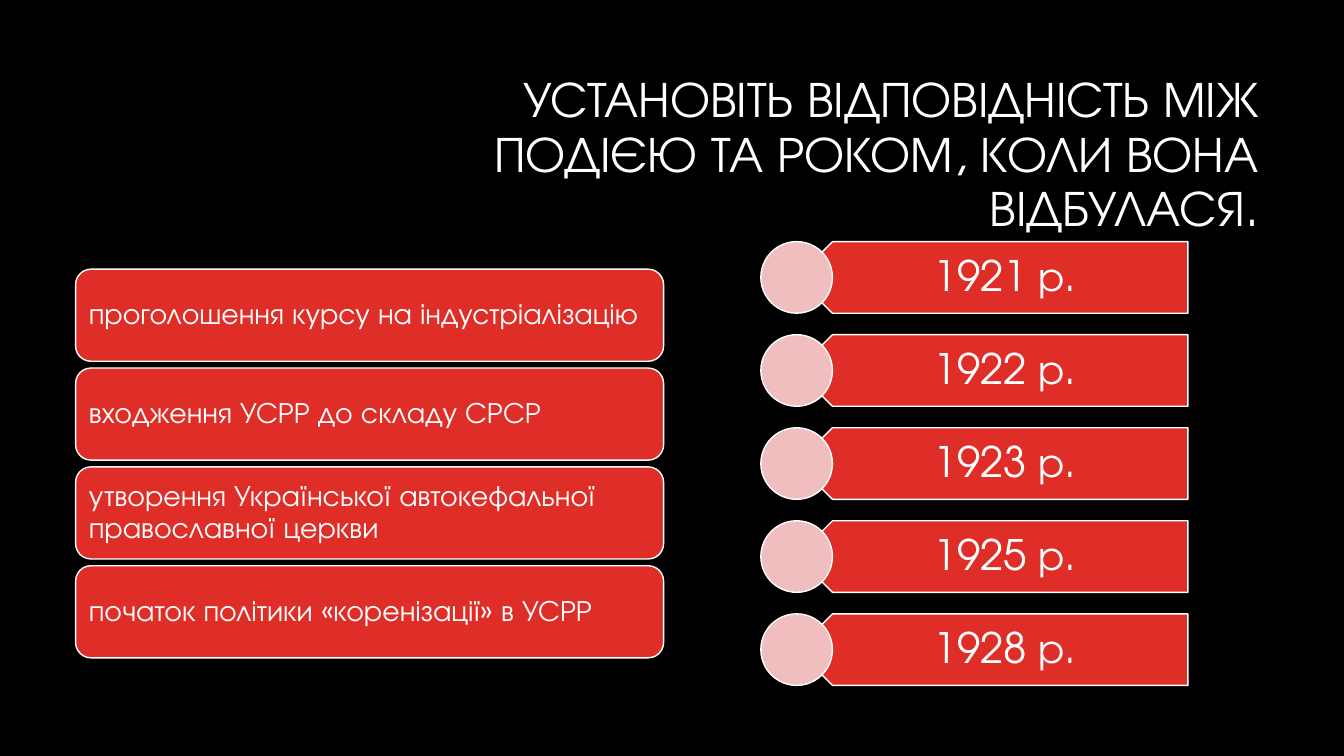
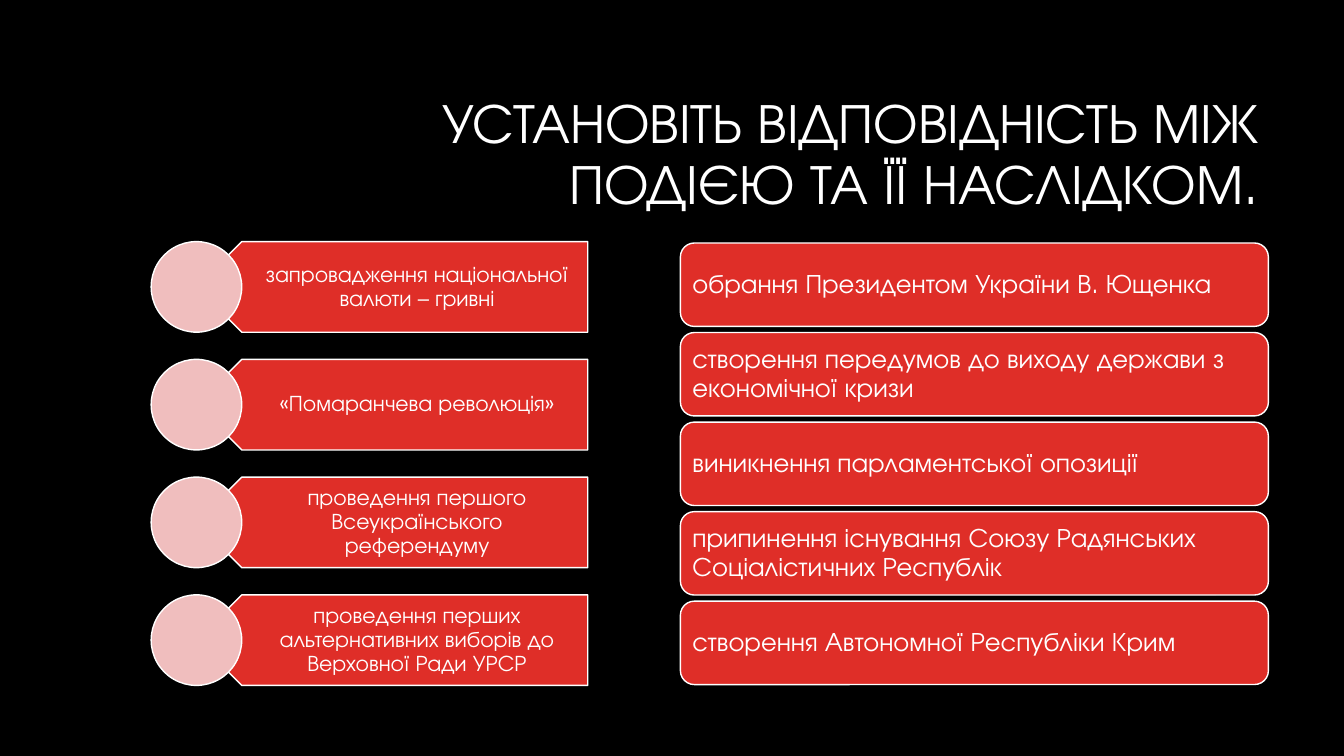
from pptx import Presentation
from pptx.dml.color import RGBColor
from pptx.enum.shapes import MSO_SHAPE
from pptx.enum.text import MSO_ANCHOR, PP_ALIGN
from pptx.util import Pt

CARD, PLATE, DISC = MSO_SHAPE.ROUNDED_RECTANGLE, MSO_SHAPE.PENTAGON, MSO_SHAPE.OVAL
LEFT, CENTER, RIGHT = PP_ALIGN.LEFT, PP_ALIGN.CENTER, PP_ALIGN.RIGHT
MIDDLE = MSO_ANCHOR.MIDDLE

FONT = "TeX Gyre Adventor"
BLACK, WHITE, RED, PINK = "000000", "FFFFFF", "DF2E28", "F0BEBE"
SLIDE_SIZE = (960, 540)
TITLE_BOX = (228.2, 60.5, 678.2, 101.5)
TITLE_INSETS = (7.2, 3.6, 7.2, 3.6)

EVENTS_BY_YEAR = [
    "проголошення курсу на індустріалізацію",
    "входження УСРР до складу СРСР",
    "утворення Української автокефальної православної церкви",
    "початок політики «коренізації» в УСРР",
]
YEARS = ["1921 р.", "1922 р.", "1923 р.", "1925 р.", "1928 р."]
EVENTS = [
    "запровадження національної валюти – гривні",
    "«Помаранчева революція»",
    "проведення першого Всеукраїнського референдуму",
    "проведення перших альтернативних виборів до Верховної Ради УРСР",
]
CONSEQUENCES = [
    "обрання Президентом України В. Ющенка",
    "створення передумов до виходу держави з економічної кризи",
    "виникнення парламентської опозиції",
    "припинення існування Союзу Радянських Соціалістичних Республік",
    "створення Автономної Республіки Крим",
]


def paint(color_format, hex_color):
    color_format.rgb = RGBColor.from_string(hex_color)


def apply(target, formats):
    for attribute, value in formats.items():
        setattr(target, attribute, value)


def write(holder, text, size, align, insets):
    left, top, right, bottom = map(Pt, insets)
    frame = holder.text_frame
    apply(frame, {
        "word_wrap": True, "vertical_anchor": MIDDLE,
        "margin_left": left, "margin_top": top,
        "margin_right": right, "margin_bottom": bottom,
    })
    paragraph = frame.paragraphs[0]
    apply(paragraph, {"text": text, "alignment": align, "line_spacing": 0.9})
    apply(paragraph.font, {"name": FONT, "size": Pt(size)})
    paint(paragraph.font.color, WHITE)


def add_text(slide, box, text, size, align, insets):
    write(slide.shapes.add_textbox(*map(Pt, box)), text, size, align, insets)


def add_figure(slide, kind, box, fill):
    figure = slide.shapes.add_shape(kind, *map(Pt, box))
    figure.shadow.inherit = False
    figure.fill.solid()
    paint(figure.fill.fore_color, fill)
    figure.line.width = Pt(1)
    paint(figure.line.color, WHITE)
    return figure


def add_cards(slide, box, texts, size):
    left, top, width, height = box
    gap = 0.23 * size
    card_height = (height - gap * (len(texts) - 1)) / len(texts)
    for index, text in enumerate(texts):
        card_top = top + index * (card_height + gap)
        card = add_figure(slide, CARD, (left, card_top, width, card_height), RED)
        write(card, text, size, LEFT, [0.3 * size] * 4)


def add_tags(slide, box, texts, size):
    left, top, width, height = box
    disc = height / (1.3 * len(texts) - 0.3)
    insets = (0.44 * disc, 0.3 * size, 0.56 * size, 0.3 * size)
    for index, text in enumerate(texts):
        tag_top = top + index * 1.3 * disc
        plate = add_figure(
            slide, PLATE, (left + disc / 2, tag_top, width - disc / 2, disc), RED)
        plate.rotation = 180
        label_box = (left + 0.75 * disc, tag_top, width - 0.75 * disc, disc)
        add_text(slide, label_box, text, size, CENTER, insets)
        add_figure(slide, DISC, (left, tag_top, disc, disc), PINK)


def add_matching_slide(deck, title, title_size, regions):
    slide = deck.slides.add_slide(deck.slide_layouts[6])
    slide.background.fill.solid()
    paint(slide.background.fill.fore_color, BLACK)
    add_text(slide, TITLE_BOX, title, title_size, RIGHT, TITLE_INSETS)
    for add_region, box, texts, size in regions:
        add_region(slide, box, texts, size)


def main():
    deck = Presentation()
    deck.slide_width, deck.slide_height = map(Pt, SLIDE_SIZE)
    add_matching_slide(
        deck, "УСТАНОВІТЬ ВІДПОВІДНІСТЬ МІЖ ПОДІЄЮ ТА РОКОМ, КОЛИ ВОНА ВІДБУЛАСЯ.", 36,
        [(add_cards, (54, 192.3, 420, 277.6), EVENTS_BY_YEAR, 21),
         (add_tags, (543.5, 172.6, 305, 317), YEARS, 30)])
    add_matching_slide(
        deck, "УСТАНОВІТЬ ВІДПОВІДНІСТЬ МІЖ ПОДІЄЮ ТА ЇЇ НАСЛІДКОМ.", 40,
        [(add_tags, (108, 172.6, 311.8, 317), EVENTS, 16),
         (add_cards, (486, 173.6, 420, 315.4), CONSEQUENCES, 19)])
    deck.save("out.pptx")


if __name__ == "__main__":
    main()
